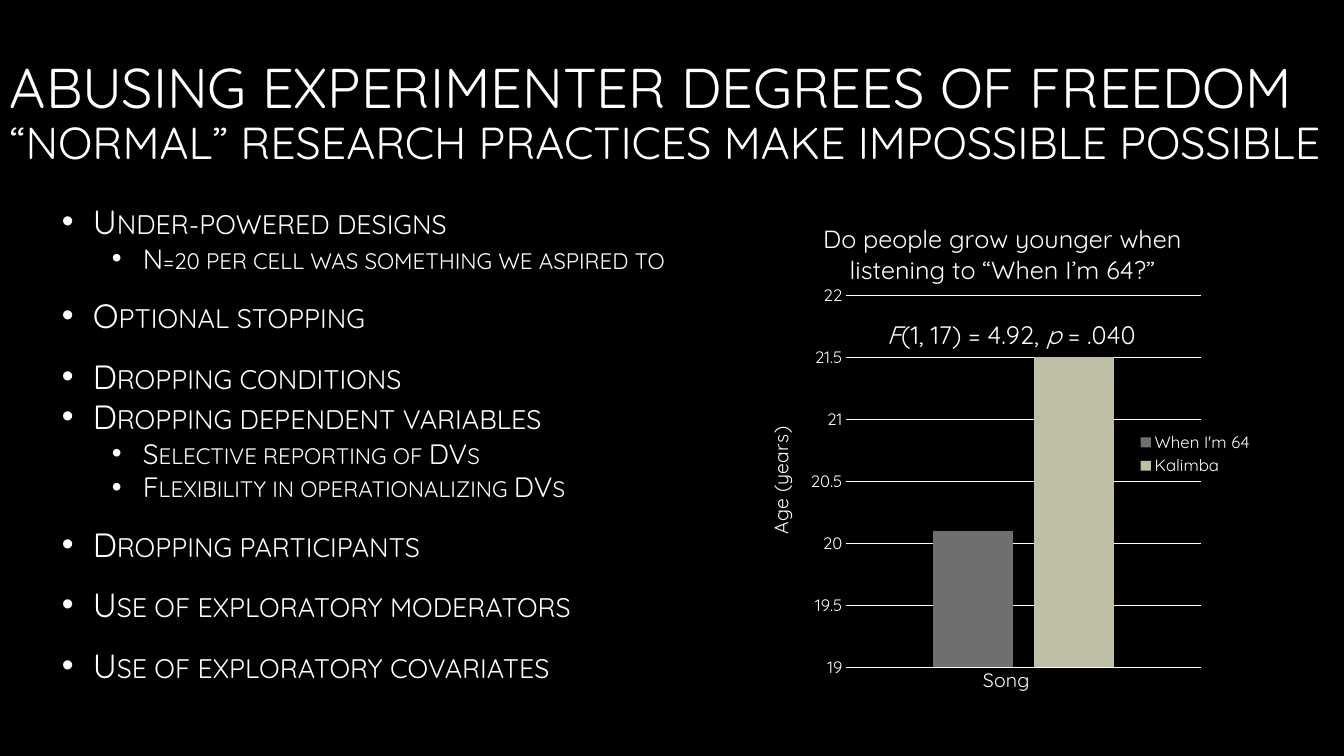
from dataclasses import dataclass

from lxml import etree
from pptx import Presentation
from pptx.chart.data import CategoryChartData
from pptx.dml.color import RGBColor
from pptx.enum.chart import XL_CHART_TYPE, XL_LEGEND_POSITION, XL_TICK_MARK
from pptx.enum.text import MSO_ANCHOR, MSO_AUTO_SIZE
from pptx.oxml import parse_xml
from pptx.oxml.ns import nsdecls, qn
from pptx.util import Emu, Pt

CLUSTERED = XL_CHART_TYPE.COLUMN_CLUSTERED
BOTTOM = XL_LEGEND_POSITION.BOTTOM
NO_TICK = XL_TICK_MARK.NONE
MIDDLE = MSO_ANCHOR.MIDDLE
TOP = MSO_ANCHOR.TOP
GROW = MSO_AUTO_SIZE.SHAPE_TO_FIT_TEXT
FIXED = MSO_AUTO_SIZE.NONE


@dataclass(frozen=True)
class Theme:
    font: str = "Quicksand"
    background: str = "000000"
    text: str = "FFFFFF"
    title_fade: str = "A6A6A6"
    body_fade: str = "BFBFBF"
    bars: tuple = ("6F6F6F", "BFBFA5")
    title: int = 40
    subtitle: int = 32
    levels: tuple = (24, 20)
    caption: int = 18
    axis_title: int = 14
    label: int = 12


def px(length):
    return Emu(round(length * 914400 / 100.8))


def rgb(value):
    return RGBColor.from_string(value)


def apply(target, values):
    for name, value in values.items():
        setattr(target, name, value)


class SlideBuilder:
    def __init__(self, presentation, theme):
        self.theme = theme
        self.slide = presentation.slides.add_slide(presentation.slide_layouts[6])
        fill = self.slide.background.fill
        fill.solid()
        fill.fore_color.rgb = rgb(theme.background)

    def style(self, font, size, fade=None, **values):
        apply(font, {"name": self.theme.font, "size": Pt(size), **values})
        if fade is None:
            font.fill.solid()
            font.fill.fore_color.rgb = rgb(self.theme.text)
            return
        font.fill.gradient()
        font.fill.gradient_angle = 267
        for stop, color in zip(font.fill.gradient_stops, (self.theme.text, fade)):
            stop.color.rgb = rgb(color)

    def text_frame(self, box, anchor=TOP, auto_size=FIXED):
        frame = self.slide.shapes.add_textbox(*map(px, box)).text_frame
        apply(frame, {"word_wrap": True, "vertical_anchor": anchor, "auto_size": auto_size})
        return frame

    def title(self, box, heading, subheading):
        theme = self.theme
        paragraph = self.text_frame(box, MIDDLE).paragraphs[0]
        paragraph.line_spacing = 0.9
        run = paragraph.add_run()
        run.text = heading
        self.style(run.font, theme.title, theme.title_fade)
        paragraph.add_line_break()
        run = paragraph.add_run()
        run.text = subheading
        self.style(run.font, theme.subtitle, theme.title_fade)

    def bullets(self, box, items):
        frame = self.text_frame(box)
        for index, (level, spacing, text) in enumerate(items):
            paragraph = frame.add_paragraph() if index else frame.paragraphs[0]
            properties = paragraph._p.get_or_add_pPr()
            properties.set("marL", str(px(31 + 50 * level)))
            properties.set("indent", str(px(-31)))
            color = etree.SubElement(properties, qn("a:buClr"))
            etree.SubElement(color, qn("a:srgbClr"), val=self.theme.text)
            etree.SubElement(properties, qn("a:buFont"), typeface="Arial")
            etree.SubElement(properties, qn("a:buChar"), char="•")
            apply(paragraph, {"level": level, "line_spacing": spacing})
            run = paragraph.add_run()
            run.text = text
            self.style(run.font, self.theme.levels[level], self.theme.body_fade)
            run.font._element.set("cap", "small")

    def caption(self, box, parts):
        paragraph = self.text_frame(box, auto_size=GROW).paragraphs[0]
        for text, italic in parts:
            run = paragraph.add_run()
            run.text = text
            self.style(run.font, self.theme.caption, italic=italic)

    def place(self, element, **layout):
        old = element.find(qn("c:layout"))
        if old is not None:
            element.remove(old)
        values = "".join(f'<c:{name} val="{value}"/>' for name, value in layout.items())
        node = parse_xml(
            f'<c:layout {nsdecls("c")}><c:manualLayout>{values}</c:manualLayout></c:layout>'
        )
        before = [element.find(qn(tag)) for tag in ("c:tx", "c:legendPos")]
        anchor = next((item for item in before if item is not None), None)
        if anchor is None:
            element.insert(0, node)
        else:
            anchor.addnext(node)

    def chart_title(self, owner, text, size):
        title = owner.chart_title if hasattr(owner, "chart_title") else owner.axis_title
        title.text_frame.text = text
        paragraph = title.text_frame.paragraphs[0]
        self.style(paragraph.runs[0].font, size, bold=False)
        return title._element

    def column_chart(self, box, title, value_title, category_title, series, scale):
        theme = self.theme
        data = CategoryChartData()
        data.categories = ["1"]
        for name, value in series:
            data.add_series(name, [value])
        chart = self.slide.shapes.add_chart(CLUSTERED, *map(px, box), data).chart
        self.style(chart.font, theme.label)
        heading = self.chart_title(chart, title, theme.caption)
        self.place(heading, xMode="edge", yMode="edge", x=0.16, y=0.04)

        plot = chart.plots[0]
        apply(plot, {"gap_width": 219, "overlap": -27, "vary_by_categories": False})
        for bar, color in zip(plot.series, theme.bars):
            bar.format.fill.solid()
            bar.format.fill.fore_color.rgb = rgb(color)

        axis = chart.value_axis
        apply(axis, {**scale, "major_tick_mark": NO_TICK, "has_major_gridlines": True})
        axis.format.line.fill.background()
        grid = axis.major_gridlines.format.line
        grid.width = Pt(0.75)
        grid.fill.solid()
        grid.fill.fore_color.rgb = rgb(theme.text)
        self.style(axis.tick_labels.font, theme.label)
        self.chart_title(axis, value_title, theme.axis_title)
        song = self.chart_title(chart.category_axis, category_title, theme.axis_title)
        self.place(song, xMode="edge", yMode="edge", x=0.45, y=0.94)
        chart.category_axis.visible = False

        chart.has_legend = True
        apply(chart.legend, {"position": BOTTOM, "include_in_layout": False})
        self.style(chart.legend.font, theme.label)
        self.place(chart.legend._element, xMode="edge", yMode="edge", x=0.72, y=0.47, w=0.24, h=0.1)
        area = chart._chartSpace.chart.plotArea
        self.place(area, layoutTarget="inner", xMode="edge", yMode="edge", x=0.21, y=0.2, w=0.64, h=0.75)


def main():
    presentation = Presentation()
    apply(presentation, {"slide_width": px(1344), "slide_height": px(756)})
    builder = SlideBuilder(presentation, Theme())
    builder.title(
        (0, 67, 1344, 95),
        "ABUSING EXPERIMENTER DEGREES OF FREEDOM",
        "“NORMAL” RESEARCH PRACTICES MAKE IMPOSSIBLE POSSIBLE",
    )
    builder.bullets((52, 196, 716, 520), [
        (0, 1.0, "Under-powered designs"),
        (1, 1.0, "N=20 per cell was something we aspired to"),
        (0, 1.5, "Optional stopping"),
        (0, 1.5, "Dropping conditions"),
        (0, 1.0, "Dropping dependent variables"),
        (1, 1.0, "Selective reporting of DVs"),
        (1, 1.0, "Flexibility in operationalizing DVs"),
        (0, 1.5, "Dropping participants"),
        (0, 1.5, "Use of exploratory moderators"),
        (0, 1.5, "Use of exploratory covariates"),
    ])
    builder.column_chart(
        (730, 196, 554, 503),
        "Do people grow younger when listening to “When I’m 64?”",
        "Age (years)",
        "Song",
        [("When I'm 64", 20.1), ("Kalimba", 21.5)],
        {"minimum_scale": 19, "maximum_scale": 22, "major_unit": 0.5},
    )
    builder.caption((877, 314, 299, 40), [
        ("F", True), ("(1, 17) = 4.92, ", False), ("p ", True), ("= .040", False),
    ])
    presentation.save("out.pptx")


if __name__ == "__main__":
    main()
